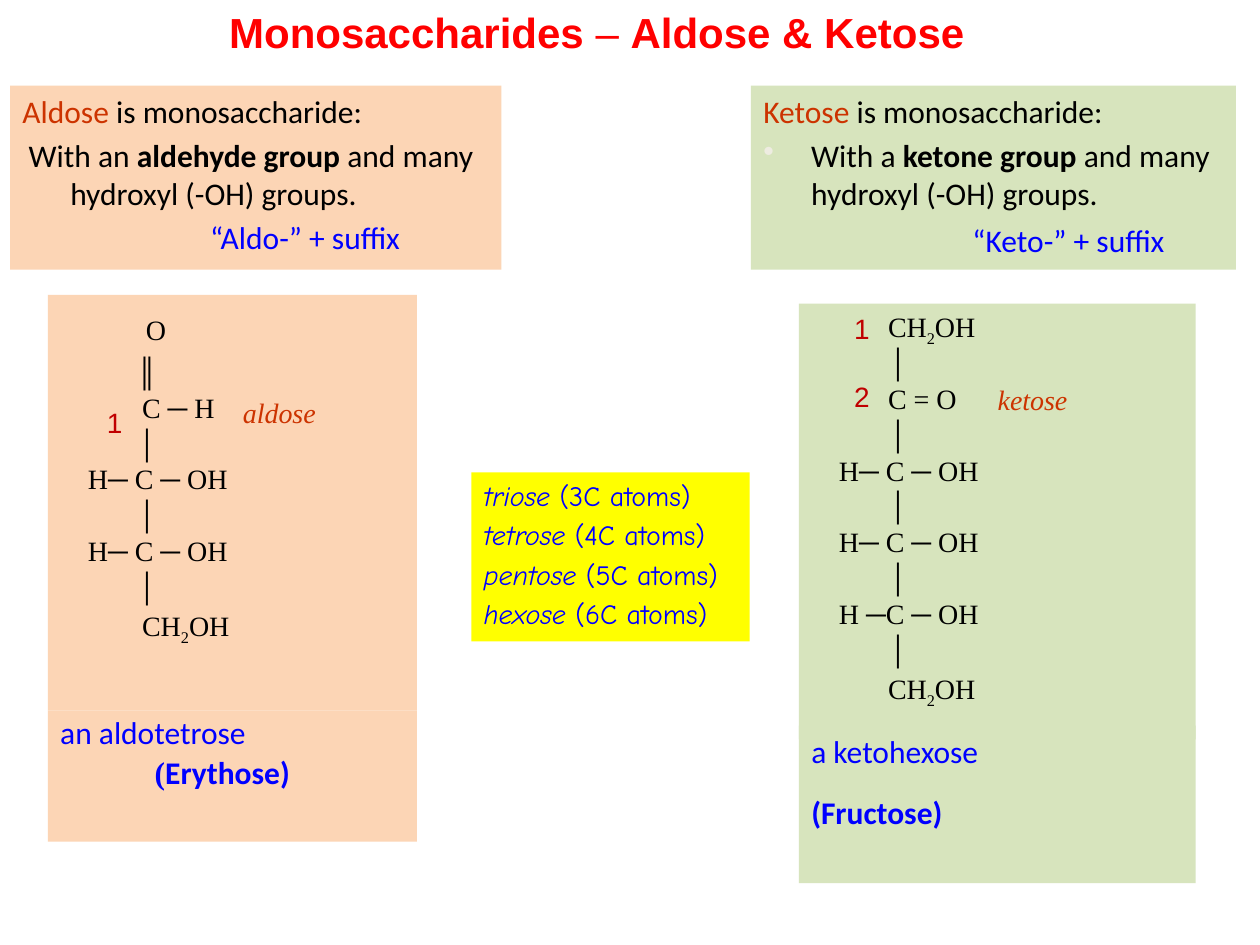
"""Build a slide comparing aldose and ketose monosaccharides."""
from lxml import etree
from pptx import Presentation, util as u
from pptx.dml.color import RGBColor
from pptx.enum import shapes, text
from pptx.oxml.ns import qn

PEACH, GREEN, YELLOW = "FCD5B5", "D7E4BD", "FFFF00"
RUST, BLUE, RED, CRIMSON, CREAM = "CC3300", "0000FF", "FF0000", "C00000", "EEECE1"

BOLD = {"bold": True}
ITALIC = {"italic": True}
SUB = ("2", {"baseline": -25000})

H_COL, C_COL, ALDEHYDE_COL = 0.22, 0.61, 0.65
BOND = {"runs": ["│"], "margin": C_COL}
HYDROXYL = {"runs": ["H─ C ─ OH"], "margin": H_COL}
LAST_HYDROXYL = {"runs": ["H ─C ─ OH"], "margin": H_COL}


def alcohol(column):
    return {"runs": ["CH", SUB, "OH"], "margin": column}


TITLE = [{"runs": [("Monosaccharides", BOLD), " – ", ("Aldose & Ketose", BOLD)]}]

DEFINITIONS = [
    ((0.08, 0.68, 3.9, 1.46), PEACH, [
        {"runs": [("Aldose", {"color": RUST}), " is monosaccharide:"]},
        {"runs": ["With an ", ("aldehyde group ", BOLD), "and many hydroxyl (-OH) groups."],
         "before": 0.2, "margin": 0.38, "indent": -0.33},
        {"runs": [("“Aldo-” + suffix", {"color": BLUE})], "before": 0.2, "margin": 1.49},
    ]),
    ((5.96, 0.68, 3.85, 1.46), GREEN, [
        {"runs": [("Ketose", {"color": RUST}), " is monosaccharide:"], "after": 0.1},
        {"runs": ["With a ", ("ketone group ", BOLD), "and many hydroxyl (-OH) groups."],
         "before": 0.1, "after": 0.1, "margin": 0.38, "indent": -0.38, "bullet": CREAM},
        {"runs": [("“Keto-” + suffix", {"color": BLUE})], "before": 0.2, "margin": 1.66},
    ]),
]

FORMULAS = [
    ((6.34, 2.41, 3.15, 3.46), GREEN, 0.05, [
        alcohol(C_COL), BOND, {"runs": ["C = O"], "margin": C_COL}, BOND,
        HYDROXYL, BOND, HYDROXYL, BOND, LAST_HYDROXYL, BOND, alcohol(C_COL),
    ]),
    ((0.38, 2.34, 2.93, 3.3), PEACH, 0.17, [
        {"runs": ["O"], "margin": 0.68, "after": 0.33},
        {"runs": ["║"], "margin": C_COL},
        {"runs": ["C ─ H"], "margin": ALDEHYDE_COL}, BOND,
        HYDROXYL, BOND, HYDROXYL, BOND, alcohol(ALDEHYDE_COL),
    ]),
]

FAMILIES = [("ketose", (7.82, 2.99, 1, 0.36)), ("aldose", (1.83, 3.09, 1, 0.36))]

CARBON_NUMBERS = [
    ("1", (6.68, 2.42, 0.36, 0.37), GREEN),
    ("2", (6.68, 2.96, 0.36, 0.37), GREEN),
    ("1", (0.75, 3.17, 0.33, 0.35), PEACH),
]

SIZES = [("triose", 3), ("tetrose", 4), ("pentose", 5), ("hexose", 6)]

EXAMPLES = [
    ((0.38, 5.64, 2.93, 1.04), PEACH, [
        {"runs": ["an aldotetrose"], "line": 0.9, "after": 0.1},
        {"runs": [("(", {"bold": True, "font": "Times New Roman"}), ("Erythose)", BOLD)],
         "line": 0.9, "before": 0.1, "margin": 0.75},
    ]),
    ((6.34, 5.76, 3.15, 1.25), GREEN, [
        {"runs": ["a ketohexose"]},
        {"runs": [("(Fructose)", BOLD)], "before": 0.75},
    ]),
]


def rgb(color):
    return RGBColor.from_string(color)


def add_run(paragraph, wording, size, font, color, bold=False, italic=False, baseline=0):
    run = paragraph.add_run()
    run.text = wording
    run.font.size, run.font.name = u.Pt(size), font
    run.font.bold, run.font.italic = bold, italic
    run.font.color.rgb = rgb(color)
    if baseline:
        run.font._element.set("baseline", str(baseline))


def format_paragraph(paragraph, size, line=None, before=0, after=0,
                     margin=0, indent=0, bullet=None):
    paragraph.alignment = text.PP_ALIGN.LEFT
    props = paragraph._p.get_or_add_pPr()
    props.set("marL", str(u.Inches(margin)))
    props.set("indent", str(u.Inches(indent)))
    if bullet:
        tint = etree.SubElement(props, qn("a:buClr"))
        etree.SubElement(tint, qn("a:srgbClr"), val=bullet)
        etree.SubElement(props, qn("a:buChar"), char="•")
    if line:
        paragraph.line_spacing = line
    paragraph.space_before = u.Pt(before * size)
    paragraph.space_after = u.Pt(after * size)


def write(slide, place, paragraphs, fill=None, wrap=True, top=0.05,
          size=18, font="Calibri", color="000000"):
    box = [u.Inches(length) for length in place]
    if fill:
        panel = slide.shapes.add_shape(shapes.MSO_SHAPE.RECTANGLE, *box)
        panel.shadow.inherit = False
        panel.fill.solid()
        panel.fill.fore_color.rgb = rgb(fill)
        panel.line.fill.background()
    else:
        panel = slide.shapes.add_textbox(*box)
    frame = panel.text_frame
    frame.word_wrap = wrap
    frame.margin_top = u.Inches(top)
    frame.vertical_anchor = text.MSO_ANCHOR.TOP
    for number, content in enumerate(paragraphs):
        paragraph = frame.add_paragraph() if number else frame.paragraphs[0]
        layout = {key: value for key, value in content.items() if key != "runs"}
        format_paragraph(paragraph, size, **layout)
        for piece in content["runs"]:
            wording, style = (piece, {}) if isinstance(piece, str) else piece
            add_run(paragraph, wording, **{"size": size, "font": font, "color": color, **style})


def main():
    deck = Presentation()
    deck.slide_width, deck.slide_height = u.Inches(10), u.Inches(7.5)
    slide = deck.slides.add_slide(deck.slide_layouts[6])

    write(slide, (1.72, 0, 6.59, 0.5), TITLE, size=24, font="Arial", color=RED)
    for place, fill, lines in DEFINITIONS:
        write(slide, place, lines, fill)
    for place, fill, top, rows in FORMULAS:
        spaced = [{"line": 0.9, "before": 0.1 if number else 0, "after": 0.1, **row}
                  for number, row in enumerate(rows)]
        write(slide, place, spaced, fill, top=top, size=16, font="Times New Roman")
    for family, place in FAMILIES:
        write(slide, place, [{"runs": [(family, ITALIC)]}],
              size=16, font="Times New Roman", color=RUST)
    for carbon, place, fill in CARBON_NUMBERS:
        write(slide, place, [{"runs": [carbon]}], fill, wrap=False,
              size=16, font="Arial", color=CRIMSON)
    sizes = [{"runs": [(name, ITALIC), f" ({carbons}C atoms)"], "before": 0.2 if number else 0}
             for number, (name, carbons) in enumerate(SIZES)]
    write(slide, (3.74, 3.75, 2.21, 1.34), sizes, YELLOW, wrap=False,
          size=16, font="Comic Neue", color=BLUE)
    for place, fill, lines in EXAMPLES:
        write(slide, place, lines, fill, color=BLUE)

    deck.save("out.pptx")


if __name__ == "__main__":
    main()
